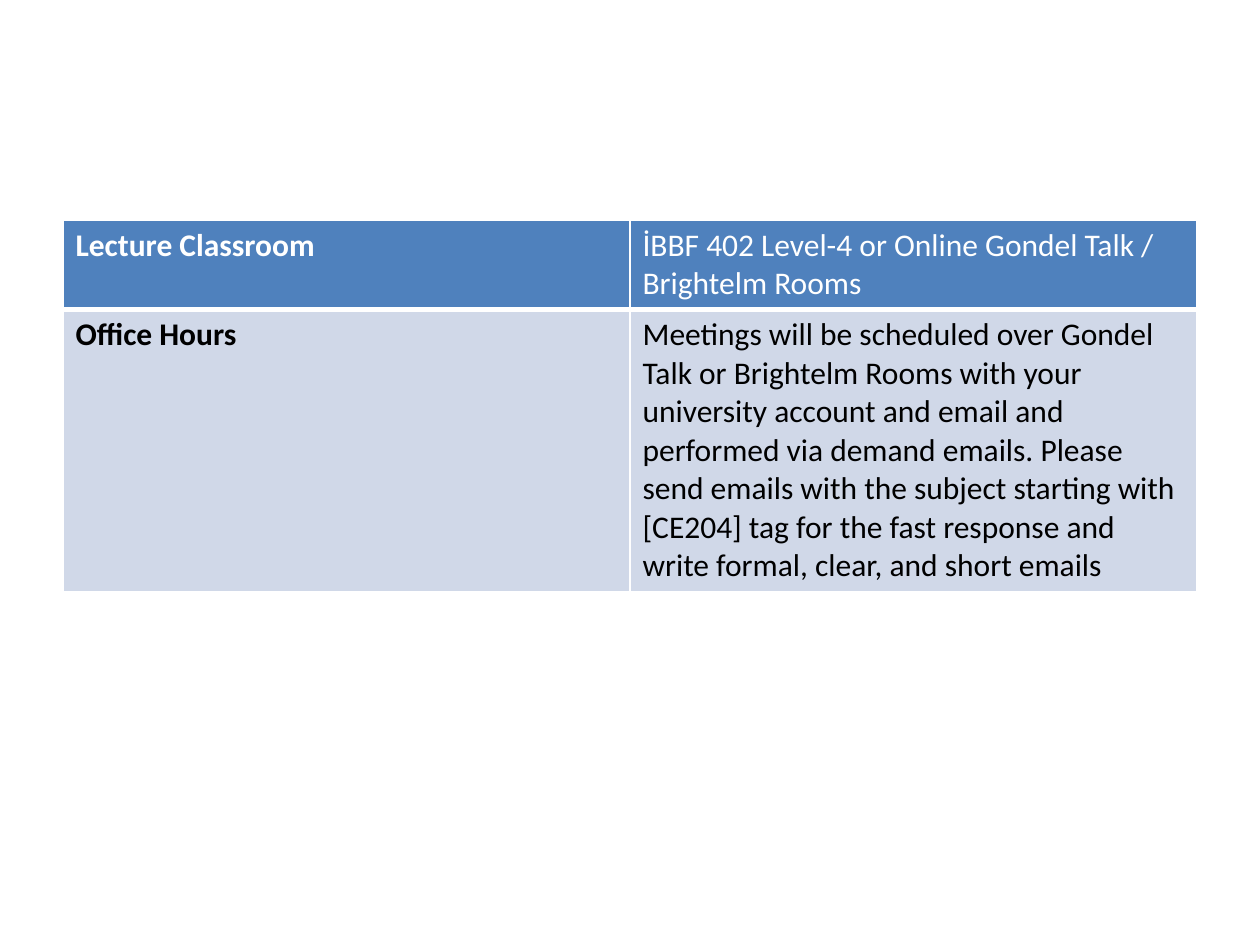
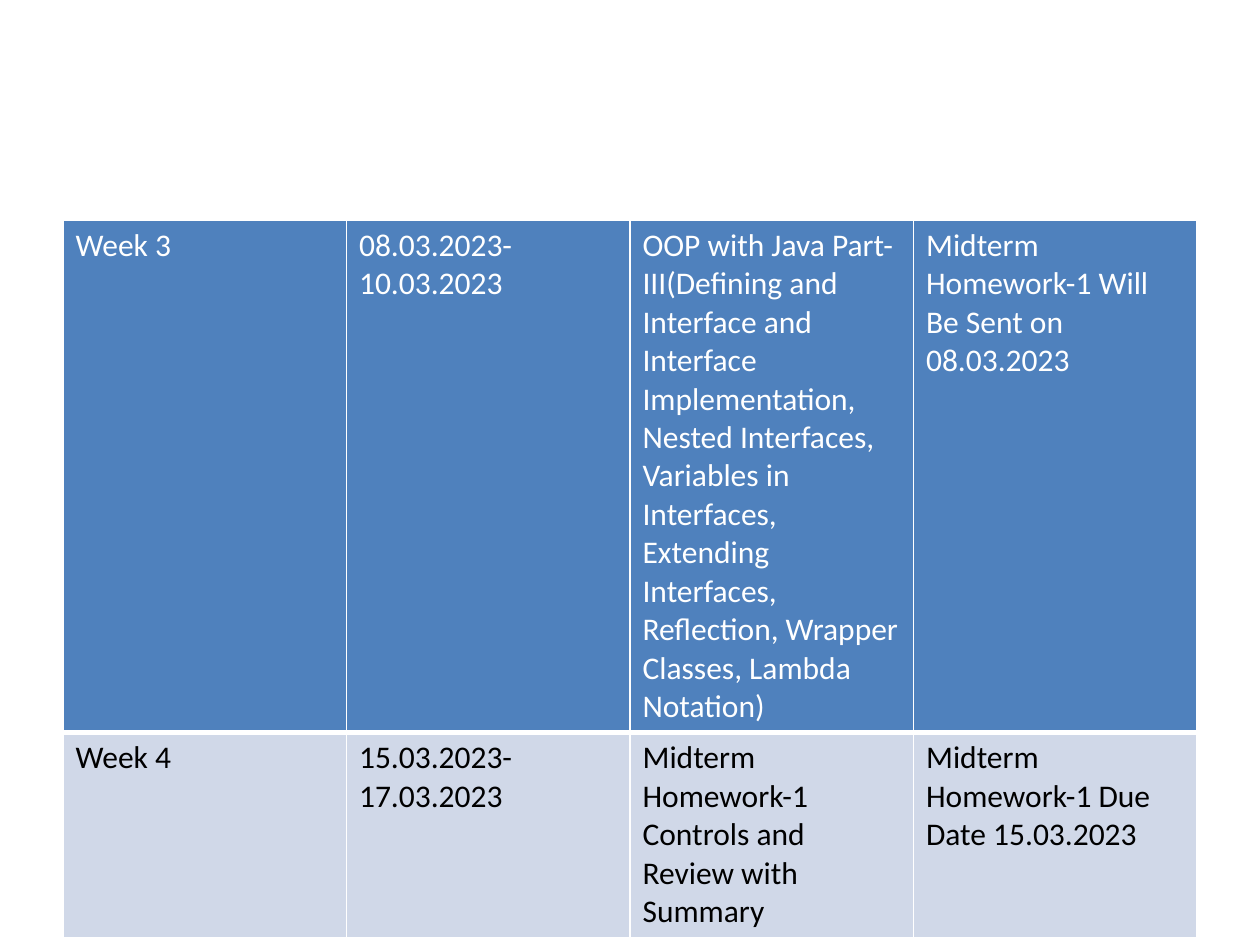
from dataclasses import dataclass

from lxml.etree import SubElement
from pptx import Presentation
from pptx.dml.color import RGBColor
from pptx.oxml.ns import qn
from pptx.slide import Slide
from pptx.table import _Cell
from pptx.util import Emu, Pt


@dataclass(frozen=True)
class Theme:
    head: str = "4F81BD"
    body: str = "D0D8E8"
    light: str = "FFFFFF"
    dark: str = "000000"
    font: str = "Calibri"
    size: int = 18
    thin: int = 1
    thick: int = 3


@dataclass(frozen=True)
class Row:
    high: int
    cells: tuple[str, ...]


@dataclass(frozen=True)
class Grid:
    rows: tuple[Row, ...]
    label: bool = False


THEME = Theme()
LEFT, TOP, WIDE = 63, 220, 1134


def px(count: int) -> Emu:
    return Emu(round(count * 914400 / 126))


def edge(cell: _Cell, head: bool) -> None:
    props = cell._tc.get_or_add_tcPr()
    for side in "LRTB":
        width = THEME.thick if head and side == "B" else THEME.thin
        line = SubElement(props, qn(f"a:ln{side}"), w=str(Pt(width)))
        fill = SubElement(line, qn("a:solidFill"))
        SubElement(fill, qn("a:srgbClr"), val=THEME.light)


def write(cell: _Cell, text: str, head: bool, bold: bool) -> None:
    edge(cell, head)
    cell.fill.solid()
    cell.fill.fore_color.rgb = RGBColor.from_string(THEME.head if head else THEME.body)
    run = cell.text_frame.paragraphs[0].add_run()
    run.text = text
    run.font.name = THEME.font
    run.font.size = Pt(THEME.size)
    run.font.bold = bold
    run.font.color.rgb = RGBColor.from_string(THEME.light if head else THEME.dark)


def draw(slide: Slide, grid: Grid) -> None:
    count = len(grid.rows[0].cells)
    high = sum(row.high for row in grid.rows)
    frame = slide.shapes.add_table(
        len(grid.rows), count, px(LEFT), px(TOP), px(WIDE), px(high)
    )
    table = frame.table
    for col in table.columns:
        col.width = Emu(px(WIDE) // count)
    for i, row in enumerate(grid.rows):
        table.rows[i].height = px(row.high)
        for j, text in enumerate(row.cells):
            write(table.cell(i, j), text, i == 0, grid.label and j == 0)


GRIDS = (
    Grid(
        (
            Row(89, (
                "Lecture Classroom",
                "İBBF 402 Level-4 or Online Gondel Talk / Brightelm Rooms",
            )),
            Row(281, (
                "Office Hours",
                "Meetings will be scheduled over Gondel Talk or Brightelm Rooms "
                "with your university account and email and performed via demand "
                "emails. Please send emails with the subject starting with [CE204] "
                "tag for the fast response and write formal, clear, and short emails",
            )),
        ),
        label=True,
    ),
    Grid(
        (
            Row(512, (
                "Week 3",
                "08.03.2023-10.03.2023",
                "OOP with Java Part-III(Defining and Interface and Interface "
                "Implementation, Nested Interfaces, Variables in Interfaces, "
                "Extending Interfaces, Reflection, Wrapper Classes, Lambda Notation)",
                "Midterm Homework-1 Will Be Sent on 08.03.2023",
            )),
            Row(205, (
                "Week 4",
                "15.03.2023-17.03.2023",
                "Midterm Homework-1 Controls and Review with Summary",
                "Midterm Homework-1 Due Date\u00a015.03.2023",
            )),
        ),
    ),
)

deck = Presentation()
deck.slide_width, deck.slide_height = px(1260), px(945)
for grid in GRIDS:
    draw(deck.slides.add_slide(deck.slide_layouts[6]), grid)
deck.save("out.pptx")
